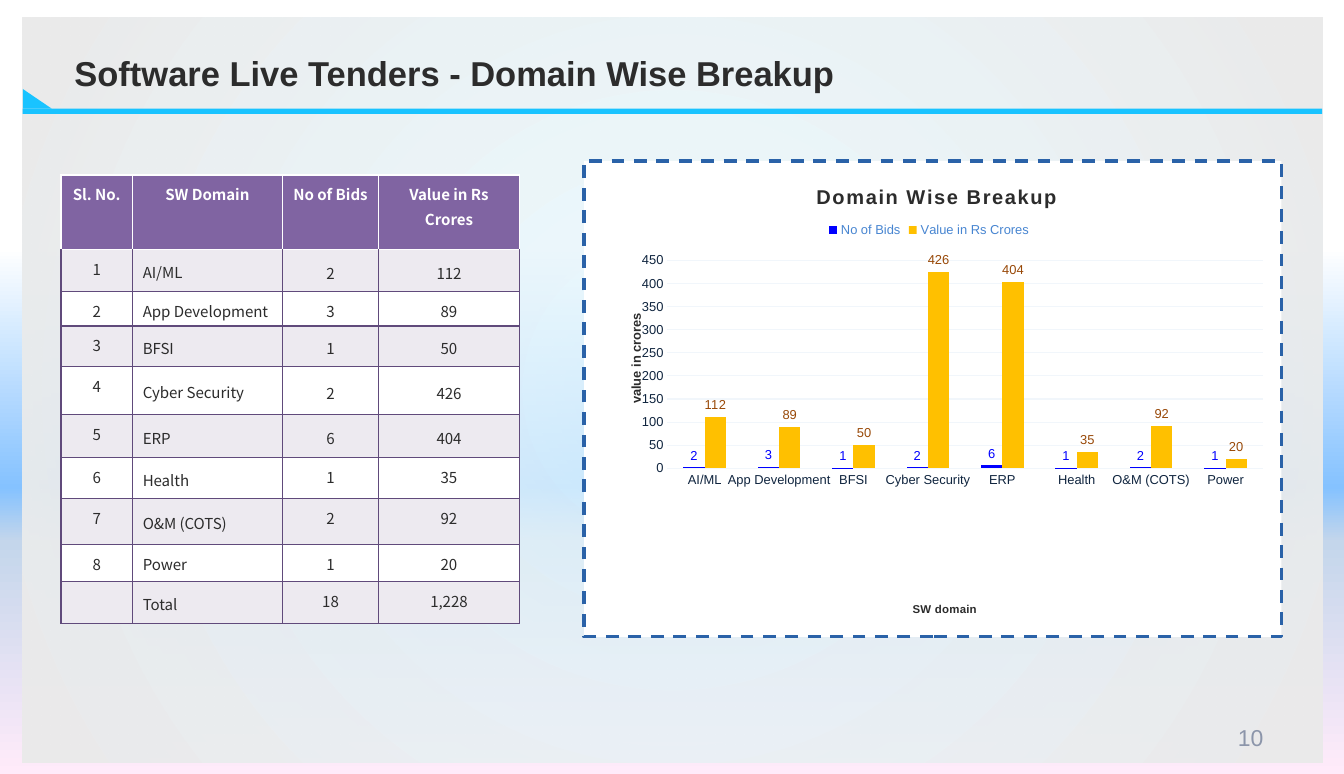
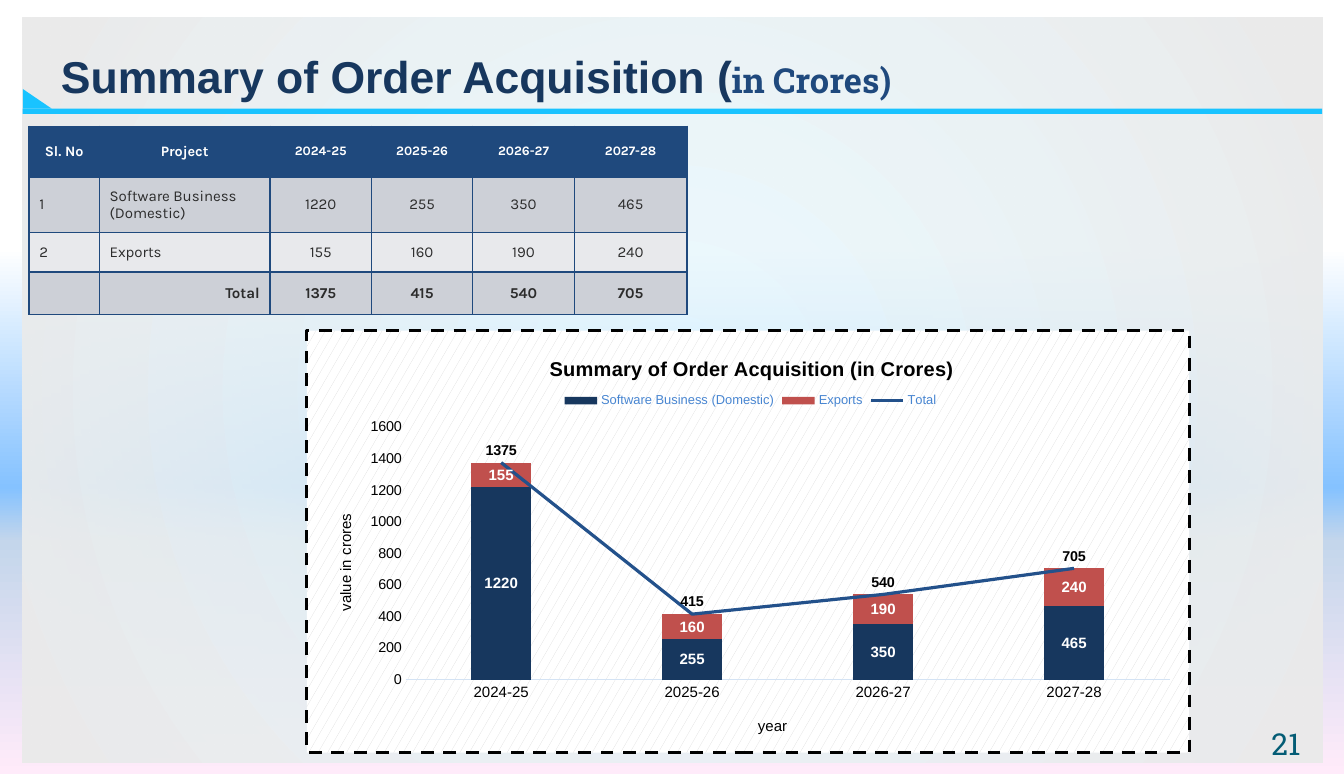
from pptx import Presentation
from pptx.chart.data import CategoryChartData
from pptx.dml.color import RGBColor
from pptx.enum.chart import XL_CHART_TYPE as ChartType, XL_LABEL_POSITION as LabelPosition
from pptx.enum.chart import XL_LEGEND_POSITION as LegendPosition, XL_MARKER_STYLE as MarkerStyle
from pptx.enum.chart import XL_TICK_MARK as TickMark
from pptx.enum.shapes import MSO_SHAPE as Preset
from pptx.enum.text import MSO_ANCHOR as Anchor, PP_ALIGN as Align
from pptx.oxml import parse_xml
from pptx.oxml.ns import nsdecls, qn
from pptx.util import Pt

PX = 9144
INK, NAVY, WHITE, BLACK, CYAN = "2C2C2C", "1F497D", "FFFFFF", "000000", "19C3FF"
PURPLE, PLUM, DEEP = "8064A2", "604A7B", "17375E"
BACKDROP = [(32, WHITE, 100), (63, "85C2FF", 100), (70, "C4D6EB", 100), (100, "FFEBFA", 100)]
PANEL = [(0, "E5F8FF", 69), (100, "EBEBEB", 100)]
DOWNWARD = '<a:lin %s ang="5400000" scaled="0"/>'
RADIAL = '<a:path %s path="circle"><a:fillToRect l="50000" t="50000" r="50000" b="50000"/></a:path>'
PLAIN = f'<a:solidFill><a:srgbClr val="{WHITE}"/></a:solidFill>'
CONFETTI = ('<a:pattFill prst="smConfetti"><a:fgClr><a:srgbClr val="D9D9D9"/></a:fgClr>'
            '<a:bgClr><a:srgbClr val="FFFFFF"/></a:bgClr></a:pattFill>')

TENDERS_TITLE = [("Software Live Tenders - Domain Wise Breakup", 24, INK, True, "Arial")]
TENDERS_NUMBER = [("10", 16, "8C95AA", False, "Arial")]
ORDERS_TITLE = [("Summary of Order Acquisition (", 31, DEEP, True, "Arial"),
                ("in Crores)", 24, NAVY, True, "Roboto Slab")]
ORDERS_NUMBER = [("21", 21, "045C75", False, "Roboto Slab")]

DOMAINS = ["AI/ML", "App Development", "BFSI", "Cyber Security", "ERP", "Health", "O&M (COTS)", "Power"]
BIDS = [2, 3, 1, 2, 6, 1, 2, 1]
VALUES = [112, 89, 50, 426, 404, 35, 92, 20]
YEARS = ["2024-25", "2025-26", "2026-27", "2027-28"]
DOMESTIC = [1220, 255, 350, 465]
EXPORTS = [155, 160, 190, 240]
TOTALS = [domestic + export for domestic, export in zip(DOMESTIC, EXPORTS)]

TENDERS_ROWS = [("Sl. No.", "SW Domain", "No of Bids", "Value in Rs Crores"),
                *zip(range(1, len(DOMAINS) + 1), DOMAINS, BIDS, VALUES),
                ("", "Total", sum(BIDS), f"{sum(VALUES):,}")]
ORDERS_ROWS = [("Sl. No", "Project", *YEARS),
               (1, "Software Business (Domestic)", *DOMESTIC),
               (2, "Exports", *EXPORTS),
               ("", "Total", *TOTALS)]

TENDERS_CHART = {
    "type": ChartType.COLUMN_CLUSTERED, "gap": 150, "overlap": 0,
    "box": (563, 154, 677, 463), "plot": (81, 97, 578, 202), "legend": (234, 56),
    "fill": PLAIN, "border": "2A62A8", "grid": "F1F6FB", "maximum": 450, "step": 50,
    "title": ("Domain Wise Breakup", (222, 19), 14, INK, True, 100),
    "category": (("SW domain", (317, 427), 8, INK, True), 9, "0F243E", None),
    "value": (("value in crores", (40, 146), 9, INK, True), 9, "0F243E", None),
    "categories": DOMAINS,
    "series": [
        ("No of Bids", BIDS, "0000FF", LabelPosition.OUTSIDE_END, (9, "0000FF")),
        ("Value in Rs Crores", VALUES, "FFC000", LabelPosition.OUTSIDE_END, (9, "984807")),
    ],
}
ORDERS_CHART = {
    "type": ChartType.COLUMN_STACKED, "gap": 219, "overlap": 100,
    "box": (295, 318, 856, 411), "plot": (96, 94, 741, 246), "legend": (246, 57),
    "fill": CONFETTI, "border": BLACK, "grid": None, "maximum": 1600, "step": 200,
    "title": ("Summary of Order Acquisition (in Crores)", (232, 21), 14, BLACK, True),
    "category": (("year", (435, 372), 10.5, BLACK, False), 10.5, BLACK, "D4E3F4"),
    "value": (("value in crores", (25, 176), 10.5, BLACK, False), 10, BLACK, None),
    "categories": YEARS,
    "series": [
        ("Software Business (Domestic)", DOMESTIC, DEEP, LabelPosition.CENTER, (10.5, WHITE, True)),
        ("Exports", EXPORTS, "C0504D", LabelPosition.CENTER, (10.5, WHITE, True)),
        ("Total", TOTALS, "23518B", LabelPosition.ABOVE, (10, BLACK, True)),
    ],
}

def emu(*lengths):
    return [length * PX for length in lengths]

def rgb(value):
    return RGBColor.from_string(value)

def style_font(font, size, color, bold=False, name="Arial"):
    font.size, font.bold, font.name = Pt(size), bold, name
    font.color.rgb = rgb(color)

def add_run(paragraph, text, *style):
    run = paragraph.add_run()
    run.text = text
    style_font(run.font, *style)
    return run

def set_fill(fill, color):
    fill.solid()
    fill.fore_color.rgb = rgb(color)

def set_line(line, color, width=0.75):
    if color:
        line.color.rgb = rgb(color)
        line.width = Pt(width)
    else:
        line.fill.background()

def set_gradient(owner, fill, stops, direction):
    fill.gradient()
    gradient = owner.element.find(".//" + qn("a:gradFill"))
    for child in list(gradient):
        gradient.remove(child)
    marks = "".join(f'<a:gs pos="{position * 1000}"><a:srgbClr val="{color}">'
                    f'<a:alpha val="{opacity * 1000}"/></a:srgbClr></a:gs>'
                    for position, color, opacity in stops)
    gradient.append(parse_xml(f'<a:gsLst {nsdecls("a")}>{marks}</a:gsLst>'))
    gradient.append(parse_xml(direction % nsdecls("a")))

def add_plain_shape(slide, preset, box):
    shape = slide.shapes.add_shape(preset, *emu(*box))
    shape.shadow.inherit = False
    shape.line.fill.background()
    set_fill(shape.fill, CYAN)
    return shape

def add_text(slide, box, runs, inset, align=Align.LEFT, anchor=Anchor.MIDDLE):
    frame = slide.shapes.add_textbox(*emu(*box)).text_frame
    frame.word_wrap = True
    frame.vertical_anchor = anchor
    frame.margin_left = frame.margin_right = 13 * PX
    frame.margin_top = frame.margin_bottom = inset * PX
    frame.paragraphs[0].alignment = align
    for run in runs:
        add_run(frame.paragraphs[0], *run)

def add_base_slide(presentation, title, title_box, number, number_box, number_anchor):
    slide = presentation.slides.add_slide(presentation.slide_layouts[6])
    panel = add_plain_shape(slide, Preset.RECTANGLE, (22, 17, 1256, 720))
    set_gradient(panel, panel.fill, PANEL, RADIAL)
    add_plain_shape(slide, Preset.RECTANGLE, (22, 105, 1256, 5))
    add_plain_shape(slide, Preset.RIGHT_TRIANGLE, (22, 86, 28, 19))
    add_text(slide, title_box, title, 6)
    add_text(slide, number_box, number, 7, Align.RIGHT, number_anchor)
    return slide

def tenders_cell(row, column):
    header, name = row == 0, row > 0 and column == 1
    tight = 1 <= row <= 5 and column >= 2
    return {
        "font": (10.5, WHITE if header else INK, header, "Noto Sans CJK JP"),
        "fill": PURPLE if header else "EDEAF0" if row % 2 else WHITE,
        "borders": [WHITE if header or (row == 1 and side == "T") else PLUM for side in "LRTB"],
        "align": Align.LEFT if name else Align.CENTER,
        "anchor": Anchor.MIDDLE if tight or name else Anchor.TOP,
        "margins": (7, 1, 7, 0) if tight else (10, 5, 10, 5),
        "spacing": 1.15,
    }

def orders_cell(row, column):
    header, total, label = row == 0, row == 3, column < 2
    return {
        "font": (10.5 if not header else 10 if label else 9, WHITE if header else INK,
                 header or total, "Karla"),
        "fill": NAVY if header else "CDD0D7" if row % 2 else "E8E9EC",
        "borders": [NAVY] * 4,
        "align": Align.CENTER if header or not label else Align.RIGHT if total else Align.LEFT,
        "anchor": Anchor.MIDDLE,
        "margins": (10, 1, 10, 1) if header or label else (0, 0, 0, 0),
        "spacing": 1.0,
    }

def add_table(slide, left, top, widths, heights, rows, cell_style):
    box = emu(left, top, sum(widths), sum(heights))
    table = slide.shapes.add_table(len(rows), len(widths), *box).table
    table.first_row = table.horz_banding = False
    for column, width in zip(table.columns, widths):
        column.width = width * PX
    for r, (values, height) in enumerate(zip(rows, heights)):
        table.rows[r].height = height * PX
        for c, value in enumerate(values):
            fill_cell(table.cell(r, c), str(value), cell_style(r, c))

def fill_cell(cell, text, style):
    for side, color in zip("LRTB", style["borders"]):
        cell._tc.get_or_add_tcPr().append(parse_xml(
            f'<a:ln{side} {nsdecls("a")} w="12700"><a:solidFill><a:srgbClr val="{color}"/>'
            f'</a:solidFill></a:ln{side}>'))
    set_fill(cell.fill, style["fill"])
    cell.vertical_anchor = style["anchor"]
    cell.margin_left, cell.margin_top, cell.margin_right, cell.margin_bottom = emu(*style["margins"])
    paragraph = cell.text_frame.paragraphs[0]
    paragraph.alignment = style["align"]
    paragraph.line_spacing = style["spacing"]
    if text:
        add_run(paragraph, text, *style["font"])

def place(element, index, position, chart_size, target=""):
    for layout in element.findall(qn("c:layout")):
        element.remove(layout)
    shares = [round(length / chart_size[i % 2], 4) for i, length in enumerate(position)]
    sizes = "".join(f'<c:{tag} val="{share}"/>' for tag, share in zip("xywh", shares))
    element.insert(index, parse_xml(
        f'<c:layout {nsdecls("c")}><c:manualLayout>{target}<c:xMode val="edge"/>'
        f'<c:yMode val="edge"/>{sizes}</c:manualLayout></c:layout>'))

def set_chart_title(title, content, chart_size, rotation="0"):
    text, position, size, color, bold, *spacing = content
    frame = title.text_frame
    run = add_run(frame.paragraphs[0], text, size, color, bold)
    for points in spacing:
        run.font._element.set("spc", str(points))
    frame._txBody.find(qn("a:bodyPr")).attrib.update({"rot": rotation, "vert": "horz"})
    place(title._element, 1, position, chart_size)

def style_axis(axis, design, chart_size, title_rotation):
    title, size, color, line = design
    axis.major_tick_mark = axis.minor_tick_mark = TickMark.NONE
    axis.has_major_gridlines = False
    style_font(axis.tick_labels.font, size, color)
    set_chart_title(axis.axis_title, title, chart_size, title_rotation)
    body = axis._element.find(qn("c:txPr")).find(qn("a:bodyPr"))
    body.attrib.update({"rot": "-60000000", "vert": "horz"})
    set_line(axis.format.line, line)

def turn_last_series_into_line(chart):
    bars = chart.plots[0]._element
    series = bars.findall(qn("c:ser"))[-1]
    for flag in series.findall(qn("c:invertIfNegative")):
        series.remove(flag)
    axis_ids = "".join(f'<c:axId val="{a.get("val")}"/>' for a in bars.findall(qn("c:axId")))
    lines = parse_xml(f'<c:lineChart {nsdecls("c")}><c:grouping val="standard"/>'
                      f'<c:varyColors val="0"/><c:marker val="1"/>{axis_ids}</c:lineChart>')
    lines.insert(2, series)
    bars.addnext(lines)
    line = chart.plots[1].series[0]
    line.smooth = False
    line.marker.style = MarkerStyle.NONE

def add_chart(slide, design):
    data = CategoryChartData()
    data.categories = design["categories"]
    for name, values, *_ in design["series"]:
        data.add_series(name, values)
    chart = slide.shapes.add_chart(design["type"], *emu(*design["box"]), data).chart
    size = design["box"][2:]
    style_font(chart.font, 10, NAVY)
    chart._chartSpace.find(qn("c:chart")).addnext(parse_xml(
        f'<c:spPr {nsdecls("c", "a")}>{design["fill"]}<a:ln w="28575"><a:solidFill>'
        f'<a:srgbClr val="{design["border"]}"/></a:solidFill><a:prstDash val="dash"/></a:ln></c:spPr>'))
    chart.has_title = chart.has_legend = True
    set_chart_title(chart.chart_title, design["title"], size)
    chart.legend.position = LegendPosition.TOP
    chart.legend.include_in_layout = False
    style_font(chart.legend.font, 9, "4785D1")
    place(chart.legend._element, 1, design["legend"], size)
    place(chart._chartSpace.chart.plotArea, 0, design["plot"], size, '<c:layoutTarget val="inner"/>')
    style_axis(chart.category_axis, design["category"], size, "0")
    axis = chart.value_axis
    style_axis(axis, design["value"], size, "-5400000")
    axis.minimum_scale, axis.maximum_scale, axis.major_unit = 0, design["maximum"], design["step"]
    if design["grid"]:
        set_line(axis.major_gridlines.format.line, design["grid"])
    chart.plots[0].vary_by_categories = False
    chart.plots[0].gap_width, chart.plots[0].overlap = design["gap"], design["overlap"]
    if design["type"] == ChartType.COLUMN_STACKED:
        turn_last_series_into_line(chart)
    drawn = [series for plot in chart.plots for series in plot.series]
    for series, (_, _, color, position, font) in zip(drawn, design["series"]):
        if position == LabelPosition.ABOVE:
            set_line(series.format.line, color, 2.25)
        else:
            set_fill(series.format.fill, color)
        series.data_labels.show_value = True
        series.data_labels.position = position
        style_font(series.data_labels.font, *font)

def main():
    presentation = Presentation()
    presentation.slide_width, presentation.slide_height = emu(1299, 748)
    master = presentation.slide_master
    set_gradient(master, master.background.fill, BACKDROP, DOWNWARD)
    tenders = add_base_slide(presentation, TENDERS_TITLE, (59, 35, 974, 70),
                             TENDERS_NUMBER, (931, 693, 303, 40), Anchor.MIDDLE)
    add_table(tenders, 59, 169, [69, 145, 93, 136], [72, 41, 33, 39, 47, 41, 40, 44, 36, 41],
              TENDERS_ROWS, tenders_cell)
    add_chart(tenders, TENDERS_CHART)
    orders = add_base_slide(presentation, ORDERS_TITLE, (46, 38, 993, 70),
                            ORDERS_NUMBER, (967, 694, 303, 40), Anchor.TOP)
    add_table(orders, 28, 122, [68, 165, 98, 98, 98, 109], [49, 54, 38, 41], ORDERS_ROWS, orders_cell)
    add_chart(orders, ORDERS_CHART)
    presentation.save("out.pptx")

if __name__ == "__main__":
    main()
